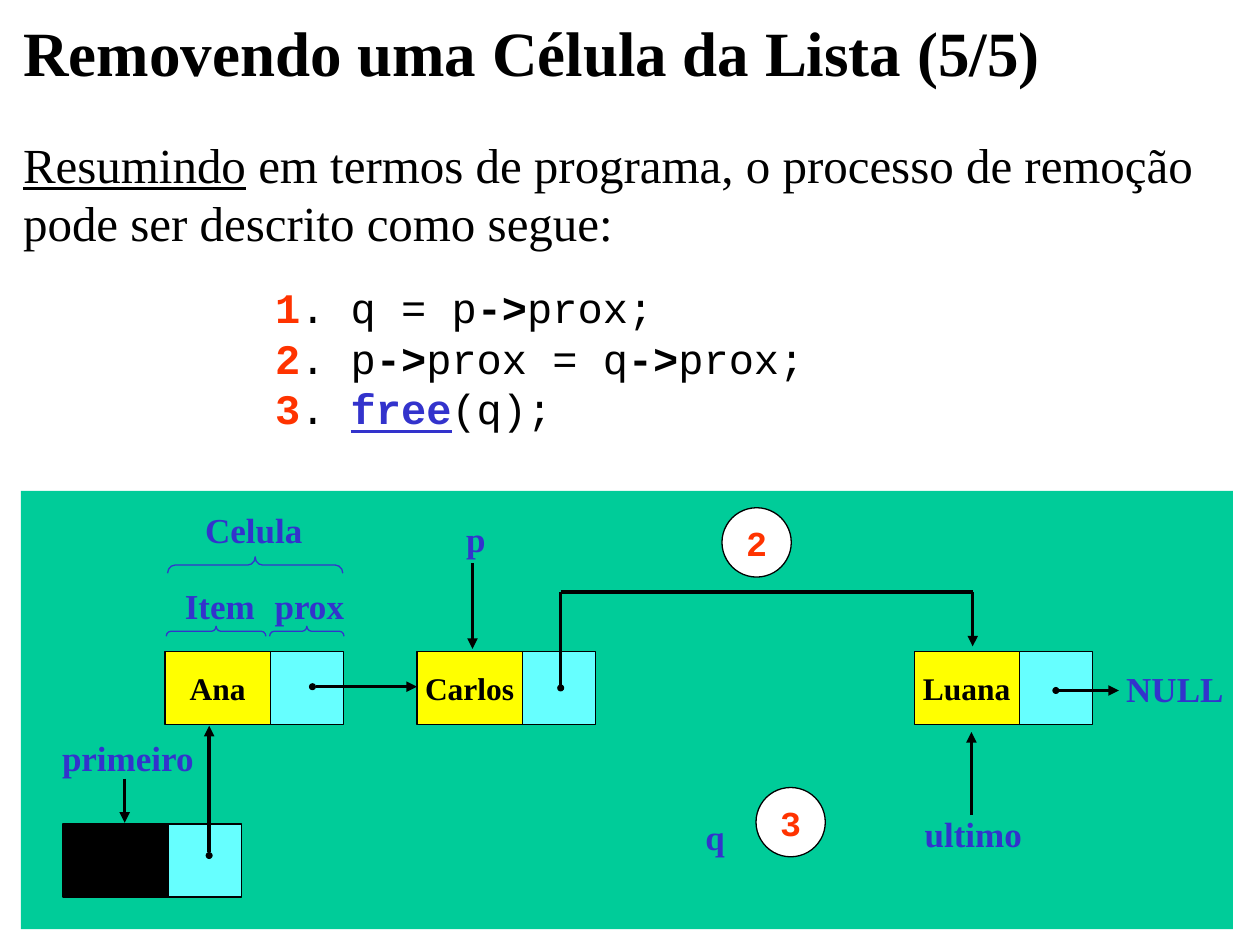
from dataclasses import dataclass

from lxml import etree
from pptx import Presentation
from pptx.dml.color import RGBColor
from pptx.enum.shapes import MSO_CONNECTOR, MSO_SHAPE
from pptx.enum.text import MSO_ANCHOR, MSO_AUTO_SIZE, PP_ALIGN
from pptx.oxml.ns import qn
from pptx.util import Inches, Pt

RECT, OVAL, BRACE = MSO_SHAPE.RECTANGLE, MSO_SHAPE.OVAL, MSO_SHAPE.LEFT_BRACE
LINE = MSO_CONNECTOR.STRAIGHT
TOP, MID = MSO_ANCHOR.TOP, MSO_ANCHOR.MIDDLE
LEFT, MIDST = PP_ALIGN.LEFT, PP_ALIGN.CENTER
GROW, FIXED = MSO_AUTO_SIZE.SHAPE_TO_FIT_TEXT, MSO_AUTO_SIZE.NONE


@dataclass(frozen=True)
class Theme:
    """Colours, fonts and type sizes of the slide."""
    ink: str = "000000"
    paper: str = "FFFFFF"
    field: str = "00CC99"
    item: str = "FFFF00"
    link: str = "66FFFF"
    blue: str = "3333CC"
    red: str = "FF3300"
    serif: str = "Times New Roman"
    mono: str = "Courier New"
    head: int = 36
    body: int = 28
    code: int = 24
    label: int = 20
    name: int = 18
    thin: float = 0.75
    thick: float = 2


class Board:
    """Draws on one slide with a grid of 100 columns by 75 rows."""

    def __init__(self, deck, theme):
        """Set the slide size and add a title-only slide."""
        deck.slide_width, deck.slide_height = Inches(10), Inches(7.5)
        self.unit = deck.slide_width / 100
        self.theme = theme
        self.slide = deck.slides.add_slide(deck.slide_layouts[5])
        self.shapes = self.slide.shapes

    def grid(self, *cells):
        """Turn grid counts into lengths."""
        return [round(n * self.unit) for n in cells]

    def style(self, run, size, color, font=None, bold=False, under=False):
        """Format one run."""
        face = run.font
        face.name, face.size = font or self.theme.serif, Pt(size)
        face.bold, face.underline = bold, under
        face.color.rgb = RGBColor.from_string(color)

    def frame(self, shape, anchor=TOP, fit=GROW):
        """Set how text sits in a shape."""
        text = shape.text_frame
        text.word_wrap, text.auto_size = False, fit
        text.vertical_anchor = anchor
        return text

    def title(self, text, *box):
        """Place and format the title."""
        head = self.shapes.title
        head.left, head.top, head.width, head.height = self.grid(*box)
        para = self.frame(head).paragraphs[0]
        para.text, para.alignment = text, LEFT
        para.line_spacing, para.space_before = 0.8, Pt(6)
        self.style(para.runs[0], self.theme.head, self.theme.ink, bold=True)

    def prose(self, intro, code, *box):
        """Write intro lines, then indented lines of code."""
        t = self.theme
        text = self.frame(self.shapes.add_textbox(*self.grid(*box)))
        for i, parts in enumerate(intro + code):
            para = text.paragraphs[0] if i == 0 else text.add_paragraph()
            coded = i >= len(intro)
            if coded:
                para.level = 4
                para._p.get_or_add_pPr().set("marL", str(Inches(2)))
            if i == len(intro):
                para.line_spacing = 1.6
            for words, look in parts:
                run = para.add_run()
                run.text = words
                size, font = (t.code, t.mono) if coded else (t.body, t.serif)
                self.style(run, size, look.get("color", t.ink), font,
                           look.get("bold", False), look.get("under", False))

    def label(self, text, *box):
        """Write a blue label."""
        para = self.frame(self.shapes.add_textbox(*self.grid(*box))).paragraphs[0]
        para.text, para.alignment = text, MIDST
        self.style(para.runs[0], self.theme.label, self.theme.blue, bold=True)

    def block(self, kind, fill, *box, edge=True):
        """Draw a filled shape."""
        shape = self.shapes.add_shape(kind, *self.grid(*box))
        shape.shadow.inherit = False
        shape.fill.solid()
        shape.fill.fore_color.rgb = RGBColor.from_string(fill)
        if edge:
            self.edge(shape.line, self.theme.ink, self.theme.thin)
        else:
            shape.line.fill.background()
        return shape

    def edge(self, line, color, width):
        """Format an outline."""
        line.color.rgb, line.width = RGBColor.from_string(color), Pt(width)

    def tag(self, shape, text, size, color, font):
        """Centre bold text in a shape."""
        para = self.frame(shape, MID, FIXED).paragraphs[0]
        para.text, para.alignment = text, MIDST
        self.style(para.runs[0], size, color, font, True)

    def node(self, x, y, name=None):
        """Draw a list cell: an item and its link."""
        t = self.theme
        self.block(RECT, t.link, x + 8.35, y, 5.8, 5.8)
        item = self.block(RECT, t.item if name else t.ink, x, y, 8.35, 5.8)
        if name:
            self.tag(item, name, t.name, t.ink, t.serif)

    def step(self, text, x, y):
        """Draw a numbered circle."""
        t = self.theme
        disc = self.block(OVAL, t.paper, x, y, 5.5, 5.5)
        self.tag(disc, text, t.label, t.red, t.mono)

    def brace(self, x, y, wide, high):
        """Draw a brace that points up."""
        left, top = x + (wide - high) / 2, y - (wide - high) / 2
        shape = self.shapes.add_shape(BRACE, *self.grid(left, top, high, wide))
        shape.rotation, shape.adjustments[0] = 90, 0.45
        shape.shadow.inherit = False
        shape.fill.background()
        self.edge(shape.line, self.theme.blue, self.theme.thin)

    def arrow(self, *ends, head=None, tail="triangle"):
        """Draw a line with optional ends."""
        link = self.shapes.add_connector(LINE, *self.grid(*ends))
        self.edge(link.line, self.theme.ink, self.theme.thick)
        line = link.line._get_or_add_ln()
        for mark, kind in (("a:headEnd", head), ("a:tailEnd", tail)):
            if kind:
                size = "sm" if kind == "oval" else "med"
                etree.SubElement(line, qn(mark), type=kind, w=size, len=size)
        etree.SubElement(link._element.spPr, qn("a:effectLst"))


def main():
    """Build the slide."""
    deck, t = Presentation(), Theme()
    board = Board(deck, t)
    board.block(RECT, t.field, 1.65, 38.95, 96.2, 34.8, edge=False)
    board.title("Removendo uma Célula da Lista (5/5)", 0.85, 1.7, 82.7, 5.8)

    plain, bold = {}, {"bold": True}
    red = {"bold": True, "color": t.red}
    call = {"bold": True, "under": True, "color": t.blue}
    intro = [
        [("Resumindo", {"under": True}),
         (" em termos de programa, o processo de remoção", plain)],
        [("pode ser descrito como segue:", plain)],
    ]
    code = [
        [("1", red), (". q = p", plain), ("->", bold), ("prox;", plain)],
        [("2", red), (". p", plain), ("->", bold), ("prox = q", plain),
         ("->", bold), ("prox;", plain)],
        [("3", red), (". ", plain), ("free", call), ("(q);", plain)],
    ]
    board.prose(intro, code, 0.85, 10.15, 95.5, 24.8)

    for name, x in (("Ana", 13.1), ("Carlos", 33.1), ("Luana", 72.55)):
        board.node(x, 51.7, name)
    board.node(5, 65.4)

    for text, x, y, wide in (
            ("Celula", 15.3, 39.9, 9.7), ("Item", 12.5, 45.9, 9.9),
            ("prox", 20.8, 45.9, 7.5), ("p", 36, 40.6, 3.5),
            ("q", 55, 64.2, 3.5), ("primeiro", 3.9, 58, 12.5),
            ("ultimo", 72.4, 64, 9.7), ("NULL", 88.4, 52.5, 9.7)):
        board.label(text, x, y, wide, 4.4)

    board.brace(13.3, 44.2, 13.9, 1.3)
    board.brace(13.2, 49.7, 7.9, 0.8)
    board.brace(21.4, 49.7, 5.9, 0.8)

    for ends in ((24.8, 54.5, 33.1, 54.5), (83.8, 54.8, 88.8, 54.8),
                 (16.6, 67.9, 16.6, 57.6)):
        board.arrow(*ends, head="oval")
    for ends in ((37.5, 44.7, 37.5, 51.5), (9.9, 61.8, 9.9, 65.3),
                 (77.1, 64.7, 77.1, 58.1), (77.2, 47, 77.2, 51.3)):
        board.arrow(*ends)
    board.arrow(44.5, 47, 44.5, 54.6, tail="oval")
    board.arrow(77.2, 47, 44.5, 47, tail=None)

    board.step("2", 57.3, 40.3)
    board.step("3", 60, 62.5)
    deck.save("out.pptx")


if __name__ == "__main__":
    main()
